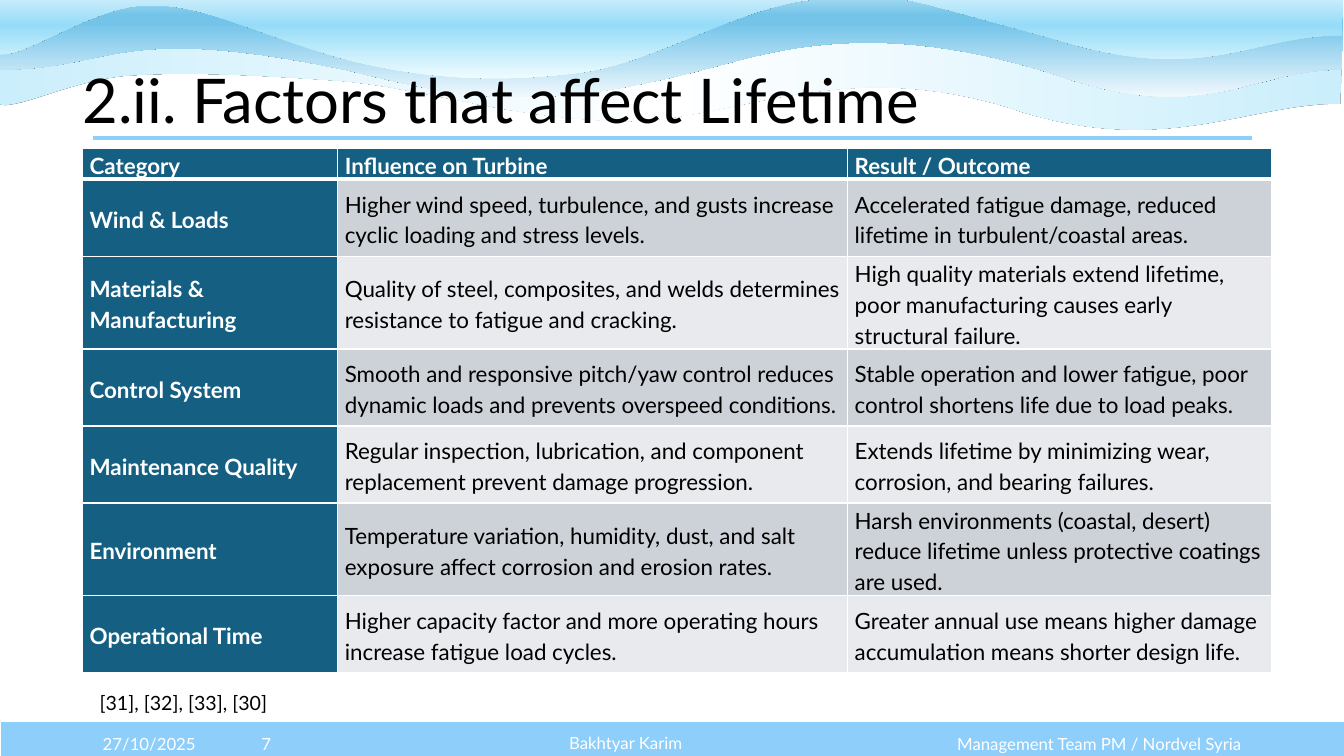
from lxml.etree import SubElement
from pptx import Presentation
from pptx.dml.color import RGBColor
from pptx.enum.shapes import MSO_CONNECTOR, MSO_SHAPE
from pptx.enum.text import MSO_ANCHOR as Anchor, PP_ALIGN as Align
from pptx.oxml.ns import qn
from pptx.util import Cm, Pt

FONT = "Lato"
WHITE, BLACK, SKY, TEAL = "FFFFFF", "000000", "8ECEFA", "156082"
BANDS = ["CCD2D8", "E8EAED"]

TITLE = "2.ii. Factors that affect Lifetime"
FACTORS = [
    ("Category", "Influence on Turbine", "Result / Outcome"),
    ("Wind & Loads",
     "Higher wind speed, turbulence, and gusts increase cyclic loading and stress levels.",
     "Accelerated fatigue damage, reduced lifetime in turbulent/coastal areas."),
    ("Materials & Manufacturing",
     "Quality of steel, composites, and welds determines resistance to fatigue and cracking.",
     "High quality materials extend lifetime, poor manufacturing causes early structural failure."),
    ("Control System",
     "Smooth and responsive pitch/yaw control reduces dynamic loads and prevents overspeed conditions.",
     "Stable operation and lower fatigue, poor control shortens life due to load peaks."),
    ("Maintenance Quality",
     "Regular inspection, lubrication, and component replacement prevent damage progression.",
     "Extends lifetime by minimizing wear, corrosion, and bearing failures."),
    ("Environment",
     "Temperature variation, humidity, dust, and salt exposure affect corrosion and erosion rates.",
     "Harsh environments (coastal, desert) reduce lifetime unless protective coatings are used."),
    ("Operational Time",
     "Higher capacity factor and more operating hours increase fatigue load cycles.",
     "Greater annual use means higher damage accumulation means shorter design life."),
]
COLUMN_WIDTHS = [6.43, 12.85, 10.69]
HEADER_HEIGHT, ROW_HEIGHT = 0.46, 1.94

LABELS = [
    ("Bakhtyar Karim", 8, 18.22, 15.54, 1.02, 12, WHITE, Align.CENTER, Anchor.MIDDLE),
    ("27/10/2025", 2.34, 18.24, 3.1, 1.02, 12, WHITE, Align.LEFT, Anchor.MIDDLE),
    ("Management Team PM / Nordvel Syria", 23.54, 18.24, 8, 1.02, 12, WHITE, Align.RIGHT, Anchor.MIDDLE),
    ("7", 5.42, 18.24, 2.58, 1.02, 12, WHITE, Align.CENTER, Anchor.MIDDLE),
    ("[31], [32], [33], [30]", 2.26, 17.28, 5.9, 0.86, 14, BLACK, Align.LEFT, Anchor.TOP),
]

CM_PER_UNIT = 2.54
WAVES = [
    {"frame": (-0.04, 0.3, 13.36, 0.98), "start": (13.3, 1.03),
     "curves": [((12.37, 1.02), (11.52, 1.59), (9.99, 1.06)),
                ((8.27, 0.54), (7.21, 1.24), (6.1, 1.2)),
                ((4.99, 1.16), (4.21, 0.87), (3.35, 0.8)),
                ((2.49, 0.74), (1.83, 0.71), (1.27, 0.75)),
                ((0.71, 0.79), (0.14, 1.11), (-0.02, 1.03))],
     "edge": [(-0.04, 0.3), (3.13, 0.31), (6.52, 0.34), (9.41, 0.32), (13.32, 0.34)],
     "stops": [(0, "CAEEFB"), (50, WHITE), (100, "CAEEFB")], "angle": 0},
    {"frame": (0, -0.02, 13.33, 0.98), "start": (13.32, 0.69),
     "curves": [((12.39, 0.69), (11.96, 1.27), (10.44, 0.73)),
                ((8.71, 0.19), (7.73, 0.49), (7.06, 0.67)),
                ((5.28, 1.14), (4.59, 0.97), (3.46, 0.7)),
                ((1.13, 0.21), (1.15, 0.69), (0, 0.69))],
     "edge": [(0.01, -0.01), (3.13, 0), (6.54, -0.02), (9.46, -0.01), (13.33, 0.03)],
     "stops": [(0, "A2D8F0"), (17, "74C4E9"), (26, "74C4E9"), (100, "F0F8FD")], "angle": 270},
    {"frame": (-0.03, -0.28, 13.36, 1.06), "start": (13.32, 0.35),
     "curves": [((12.39, 0.35), (11.96, 0.86), (10.44, 0.38)),
                ((8.72, -0.09), (8.91, -0.07), (8.13, -0.01)),
                ((7.35, 0.04), (6.53, 0.62), (5.76, 0.72)),
                ((4.98, 0.82), (4.24, 0.79), (3.47, 0.6)),
                ((2.58, 0.36), (2.07, 0.05), (1.5, 0.05)),
                ((0.92, 0.04), (0.22, 0.61), (-0.03, 0.53))],
     "edge": [(0.01, -0.27), (3.13, -0.26), (6.54, -0.28), (9.46, -0.27), (13.33, -0.24)],
     "stops": [(0, WHITE), (50, "96DCF8"), (100, "EFFCFF")], "angle": 270},
]


def color(value):
    return RGBColor.from_string(value)


def style(para, size, shade, bold=False):
    para.font.name, para.font.size, para.font.bold = FONT, Pt(size), bold
    para.font.color.rgb = color(shade)


def length(units):
    return Cm(units * CM_PER_UNIT)


def trace_outline(outline, wave):
    left, top = wave["frame"][:2]
    for child in list(outline):
        outline.remove(child)
    steps = [("a:moveTo", [wave["start"]])]
    steps += [("a:cubicBezTo", curve) for curve in wave["curves"]]
    steps += [("a:lnTo", [point]) for point in wave["edge"]]
    for tag, points in steps:
        step = SubElement(outline, qn(tag))
        for x, y in points:
            SubElement(step, qn("a:pt"), x=str(length(x - left)), y=str(length(y - top)))
    SubElement(outline, qn("a:close"))


def add_wave(page, wave):
    left, top, width, height = (length(value) for value in wave["frame"])
    right, bottom = left + width, top + height
    builder = page.shapes.build_freeform(left, top)
    builder.add_line_segments([(right, top), (right, bottom), (left, bottom)], close=True)
    shape = builder.convert_to_shape()
    props = shape._element.spPr
    trace_outline(next(props.iter(qn("a:path"))), wave)
    shape.line.fill.background()
    shape.fill.gradient()
    shape.fill.gradient_angle = wave["angle"]
    stops = next(props.iter(qn("a:gsLst")))
    stops.clear()
    for position, shade in wave["stops"]:
        stop = SubElement(stops, qn("a:gs"), pos=str(position * 1000))
        SubElement(stop, qn("a:srgbClr"), val=shade)
    shape.shadow.inherit = False
    shadow = SubElement(props.find(qn("a:effectLst")), qn("a:outerShdw"), blurRad="0", dist="0")
    SubElement(shadow, qn("a:srgbClr"), val=BLACK)


def add_label(page, text, left, top, width, height, size, shade, align, anchor):
    box = page.shapes.add_textbox(Cm(left), Cm(top), Cm(width), Cm(height))
    frame = box.text_frame
    frame.word_wrap = True
    frame.vertical_anchor = anchor
    para = frame.paragraphs[0]
    para.text, para.alignment = text, align
    style(para, size, shade)


def set_borders(cell, row):
    props = cell._tc.get_or_add_tcPr()
    widths = {"a:lnL": 1, "a:lnR": 1, "a:lnT": 3 if row == 1 else 1, "a:lnB": 3 if row == 0 else 1}
    for tag, width in widths.items():
        line = SubElement(props, qn(tag), w=str(Pt(width)))
        SubElement(SubElement(line, qn("a:solidFill")), qn("a:srgbClr"), val=WHITE)


def fill_cell(cell, text, row, column):
    heading = row == 0 or column == 0
    set_borders(cell, row)
    cell.fill.solid()
    cell.fill.fore_color.rgb = color(TEAL if heading else BANDS[(row - 1) % 2])
    cell.margin_left = cell.margin_right = Cm(0.18)
    cell.margin_top = cell.margin_bottom = 0
    cell.vertical_anchor = Anchor.MIDDLE
    para = cell.text_frame.paragraphs[0]
    para.text, para.line_spacing, para.space_after = text, 1.15, Pt(10)
    style(para, 16, WHITE if heading else BLACK, heading)


def add_factor_table(page):
    heights = [HEADER_HEIGHT] + [ROW_HEIGHT] * (len(FACTORS) - 1)
    table = page.shapes.add_table(len(FACTORS), len(COLUMN_WIDTHS), Cm(2.08), Cm(3.74),
                                  Cm(sum(COLUMN_WIDTHS)), Cm(sum(heights))).table
    table.horz_banding = False
    for column, width in zip(table.columns, COLUMN_WIDTHS):
        column.width = Cm(width)
    for row, (texts, height) in enumerate(zip(FACTORS, heights)):
        table.rows[row].height = Cm(height)
        for column, text in enumerate(texts):
            fill_cell(table.cell(row, column), text, row, column)


def add_title(page):
    title = page.shapes.title
    title.left, title.top, title.width, title.height = Cm(1.82), Cm(1.68), Cm(31.55), Cm(3.68)
    frame = title.text_frame
    frame.vertical_anchor, frame.margin_top = Anchor.TOP, Cm(0.08)
    para = frame.paragraphs[0]
    para.text, para.alignment, para.line_spacing = TITLE, Align.LEFT, 0.9
    style(para, 44, BLACK)
    page.shapes._spTree.append(title._element)


def main():
    deck = Presentation()
    deck.slide_width, deck.slide_height = Cm(33.87), Cm(19.05)
    page = deck.slides.add_slide(deck.slide_layouts[5])

    bar = page.shapes.add_shape(MSO_SHAPE.RECTANGLE, 0, Cm(18.16), Cm(33.9), Cm(1.02))
    bar.shadow.inherit = False
    bar.fill.solid()
    bar.fill.fore_color.rgb = color(SKY)
    bar.line.color.rgb, bar.line.width = color(WHITE), Pt(1.5)

    for wave in WAVES:
        add_wave(page, wave)

    rule = page.shapes.add_connector(MSO_CONNECTOR.STRAIGHT, Cm(2.34), Cm(3.48), Cm(31.55), Cm(3.48))
    rule.line.color.rgb, rule.line.width = color(SKY), Pt(3)
    SubElement(rule._element.spPr, qn("a:effectLst"))

    add_title(page)
    for label in LABELS:
        add_label(page, *label)
    add_factor_table(page)
    deck.save("out.pptx")


if __name__ == "__main__":
    main()
